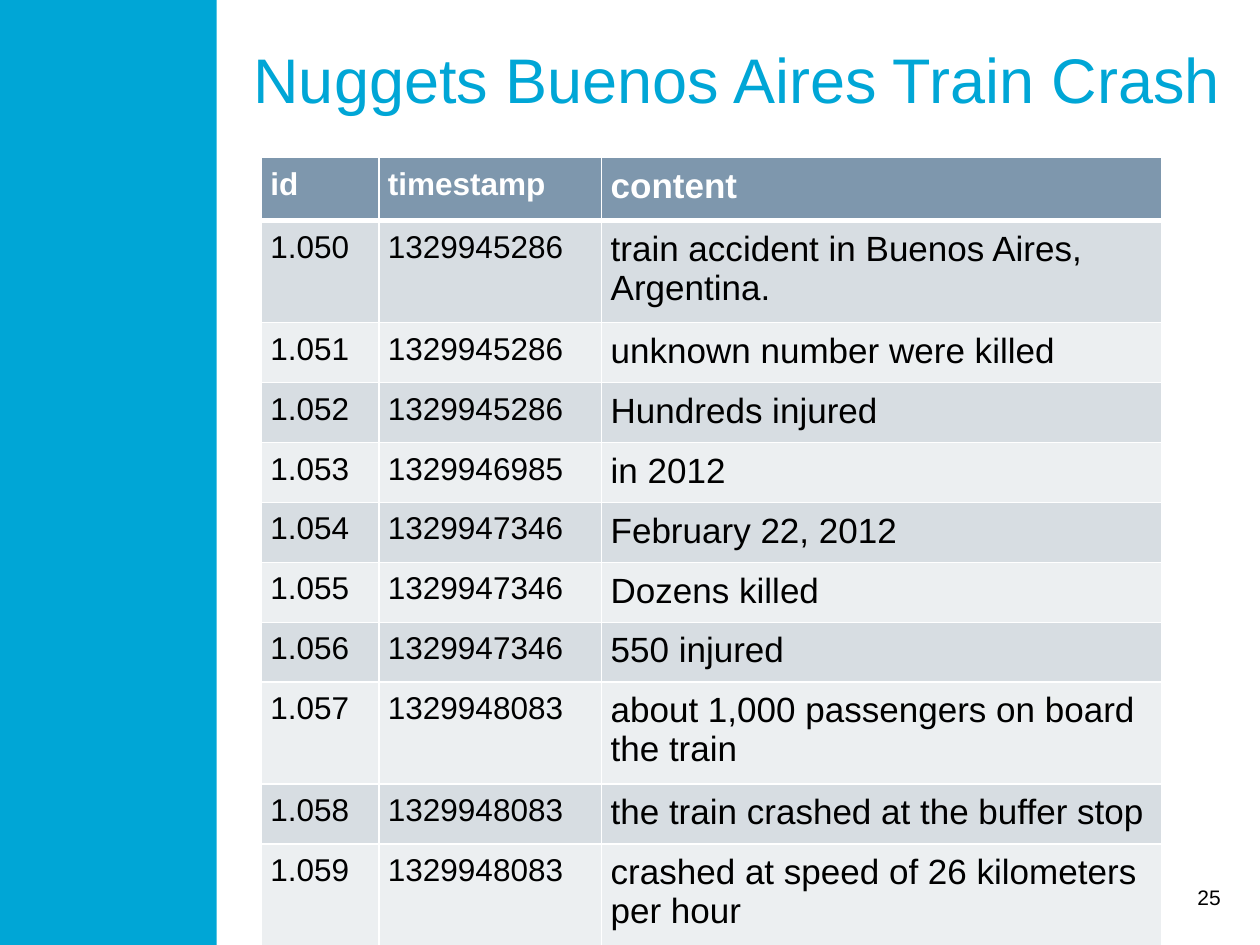
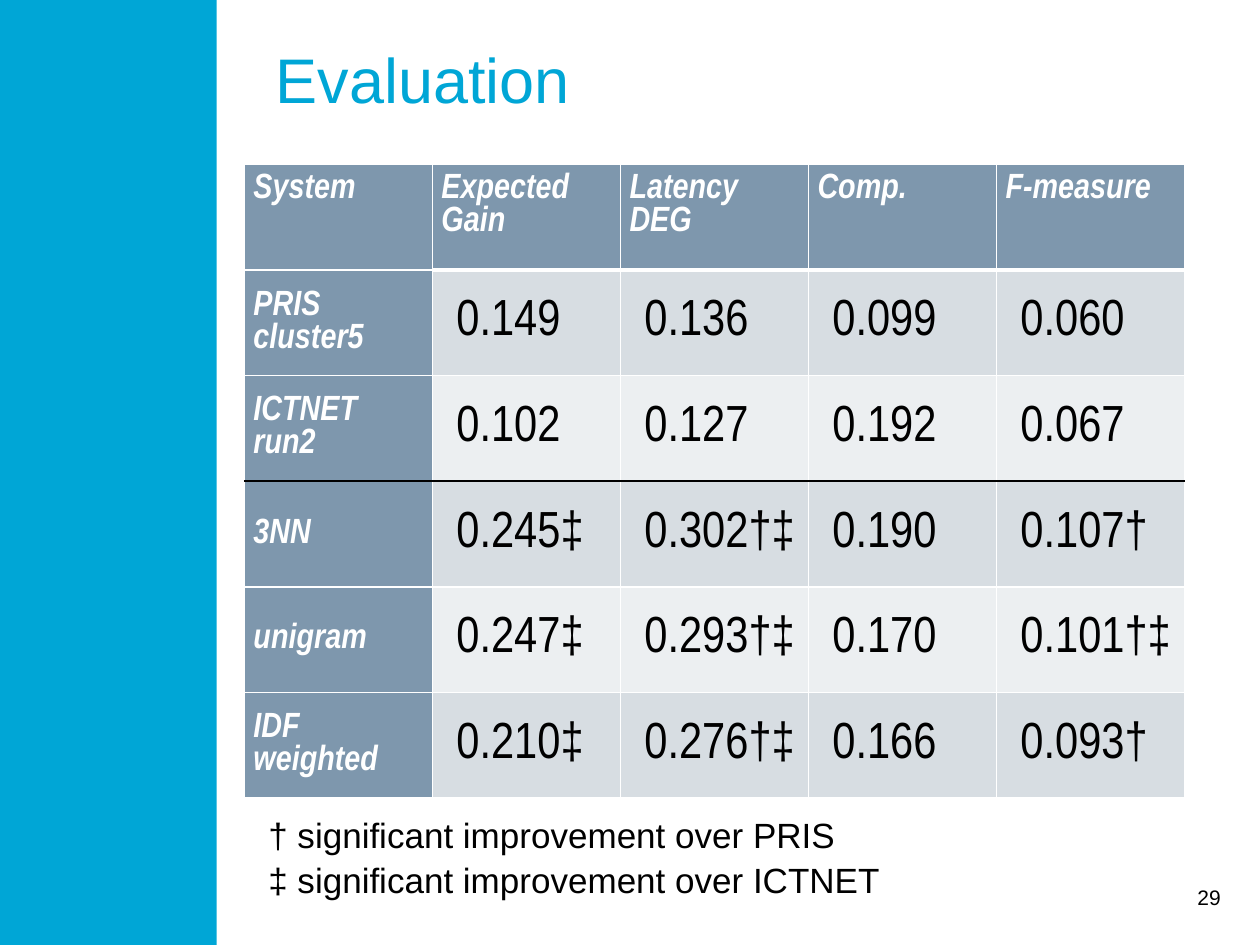
from lxml import etree
from pptx import Presentation
from pptx import util as u
from pptx.dml.color import RGBColor
from pptx.enum import shapes, text
from pptx.oxml.ns import qn

# Content
NUGGETS = {
    "title": "Nuggets Buenos Aires Train Crash",
    "number": "25",
    "rows": [
        ("id", "timestamp", "content"),
        ("1.050", "1329945286", "train accident in Buenos Aires, Argentina."),
        ("1.051", "1329945286", "unknown number were killed"),
        ("1.052", "1329945286", "Hundreds injured"),
        ("1.053", "1329946985", "in 2012"),
        ("1.054", "1329947346", "February 22, 2012"),
        ("1.055", "1329947346", "Dozens killed"),
        ("1.056", "1329947346", "550 injured"),
        ("1.057", "1329948083", "about 1,000 passengers on board the train"),
        ("1.058", "1329948083", "the train crashed at the buffer stop"),
        ("1.059", "1329948083", "crashed at speed of 26 kilometers per hour"),
    ],
}
EVALUATION = {
    "title": "Evaluation",
    "number": "29",
    "rows": [
        ("System", "Expected Gain", "Latency DEG", "Comp.", "F-measure"),
        ("PRIS\ncluster5", "0.149", "0.136", "0.099", "0.060"),
        ("ICTNET\nrun2", "0.102", "0.127", "0.192", "0.067"),
        ("3NN", "0.245‡", "0.302†‡", "0.190", "0.107†"),
        ("unigram", "0.247‡", "0.293†‡", "0.170", "0.101†‡"),
        ("IDF\nweighted", "0.210‡", "0.276†‡", "0.166", "0.093†"),
    ],
    "notes": [
        "† significant improvement over PRIS",
        "‡ significant improvement over ICTNET",
    ],
}
FIRST_OWN_SYSTEM = 3  # row below the black rule

# Shared look
COLORS = {"cyan": "00A6D6", "slate": "7E97AD", "odd": "D7DDE2",
          "even": "ECEFF1", "white": "FFFFFF", "black": "000000"}
INDENT = u.Cm(0.3)
CELL_INSET = u.Cm(0.18)


def rgb(name):
    return RGBColor.from_string(COLORS[name])


def add_text(paragraph, content, size, color, font="Arial", bold=False, italic=False):
    for index, line in enumerate(content.split("\n")):
        if index:
            paragraph.add_line_break()
        run = paragraph.add_run()
        run.text = line
        run.font.name = font
        run.font.size = u.Pt(size)
        run.font.bold = bold
        run.font.italic = italic
        run.font.color.rgb = rgb(color)


def indent_first_line(paragraph):
    properties = paragraph._p.get_or_add_pPr()
    properties.set("marL", "0")
    properties.set("indent", str(INDENT))


def set_insets(holder, inset):
    holder.margin_left = holder.margin_right = inset
    holder.margin_top = holder.margin_bottom = inset


def add_text_box(slide, left, top, width, height, inset=0):
    frame = slide.shapes.add_textbox(*map(u.Cm, (left, top, width, height))).text_frame
    set_insets(frame, inset)
    return frame


def add_base_slide(presentation, content, title_left):
    """Add a slide with the side band, title and page number."""
    slide = presentation.slides.add_slide(presentation.slide_layouts[5])
    band = slide.shapes.add_shape(shapes.MSO_SHAPE.RECTANGLE, 0, 0,
                                  u.Cm(4.37), presentation.slide_height)
    band.shadow.inherit = False
    band.fill.solid()
    band.fill.fore_color.rgb = rgb("cyan")
    band.line.fill.background()

    title = slide.shapes.title
    title.left, title.top = u.Cm(title_left), u.Cm(0.81)
    title.width, title.height = u.Cm(19.84), u.Cm(1.7)
    frame = title.text_frame
    set_insets(frame, 0)
    frame.auto_size = text.MSO_AUTO_SIZE.NONE
    frame.vertical_anchor = text.MSO_ANCHOR.TOP
    frame.paragraphs[0].alignment = text.PP_ALIGN.LEFT
    add_text(frame.paragraphs[0], content["title"], 36, "cyan")

    frame = add_text_box(slide, 18.69, 17.58, 5.92, 1.02)
    frame.word_wrap = True
    frame.vertical_anchor = text.MSO_ANCHOR.MIDDLE
    frame.paragraphs[0].alignment = text.PP_ALIGN.RIGHT
    add_text(frame.paragraphs[0], content["number"], 12, "black")
    return slide


def set_border(cell, side, width=1, color="white"):
    line = etree.SubElement(cell._tc.get_or_add_tcPr(), qn("a:ln" + side),
                            w=str(u.Pt(width)))
    fill = etree.SubElement(line, qn("a:solidFill"))
    etree.SubElement(fill, qn("a:srgbClr"), val=COLORS[color])


def add_table(slide, rows, left, top, widths, heights, edge, write_cell):
    """edge(row, column) gives width and colour of the line above that row."""
    table = slide.shapes.add_table(
        len(rows), len(widths), u.Cm(left), u.Cm(top),
        u.Cm(sum(widths)), u.Cm(sum(heights))).table
    table.first_row = table.horz_banding = False
    for column, width in zip(table.columns, widths):
        column.width = u.Cm(width)
    for row, height in zip(table.rows, heights):
        row.height = u.Cm(height)
    for r, values in enumerate(rows):
        for c, value in enumerate(values):
            cell = table.cell(r, c)
            set_insets(cell, CELL_INSET)
            set_border(cell, "L")
            set_border(cell, "R")
            set_border(cell, "T", *edge(r, c))
            set_border(cell, "B", *edge(r + 1, c))
            cell.fill.solid()
            cell.fill.fore_color.rgb = rgb(write_cell(cell, r, c, value))


def stripe(row):
    return "odd" if row % 2 else "even"


# Nuggets table: header row over striped rows
def nugget_edge(row, column):
    return (3 if row == 1 else 1), "white"


def write_nugget(cell, row, column, value):
    header = row == 0
    add_text(cell.text_frame.paragraphs[0], value, 20 if column == 2 else 18,
             "white" if header else "black", bold=header)
    return "slate" if header else stripe(row)


# Evaluation table: header row and heading column
def evaluation_edge(row, column):
    if row == FIRST_OWN_SYSTEM:
        return 1, "black"
    return (3 if row == 1 and column else 1), "white"


def write_evaluation(cell, row, column, value):
    paragraph = cell.text_frame.paragraphs[0]
    if row:
        cell.vertical_anchor = text.MSO_ANCHOR.MIDDLE
    if row == 0 or column == 0:
        add_text(paragraph, value, 20, "white", "Arial Narrow", bold=True, italic=True)
        return "slate"
    indent_first_line(paragraph)
    add_text(paragraph, value, 29, "black", "Arial Narrow")
    return stripe(row)


def add_nuggets(presentation):
    slide = add_base_slide(presentation, NUGGETS, 5.11)
    two_line_rows = (1, 8, 10)
    heights = [1.27] + [2.03 if r in two_line_rows else 1.2
                        for r in range(1, len(NUGGETS["rows"]))]
    add_table(slide, NUGGETS["rows"], 5.27, 3.18, (2.37, 4.49, 11.28), heights,
              nugget_edge, write_nugget)


def add_evaluation(presentation):
    slide = add_base_slide(presentation, EVALUATION, 5.56)
    rows = EVALUATION["rows"]
    add_table(slide, rows, 4.93, 3.31, [3.79] * len(rows[0]), [2.13] * len(rows),
              evaluation_edge, write_evaluation)

    # Meaning of the daggers
    frame = add_text_box(slide, 4.98, 16.21, 13.11, 2.67, u.Cm(0.13))
    frame.word_wrap = False
    for index, note in enumerate(EVALUATION["notes"]):
        paragraph = frame.add_paragraph() if index else frame.paragraphs[0]
        indent_first_line(paragraph)
        paragraph.line_spacing = 1.07
        add_text(paragraph, note, 20, "black")


def main():
    presentation = Presentation()
    presentation.slide_width, presentation.slide_height = u.Cm(25.4), u.Cm(19.05)
    add_nuggets(presentation)
    add_evaluation(presentation)
    presentation.save("out.pptx")


if __name__ == "__main__":
    main()
